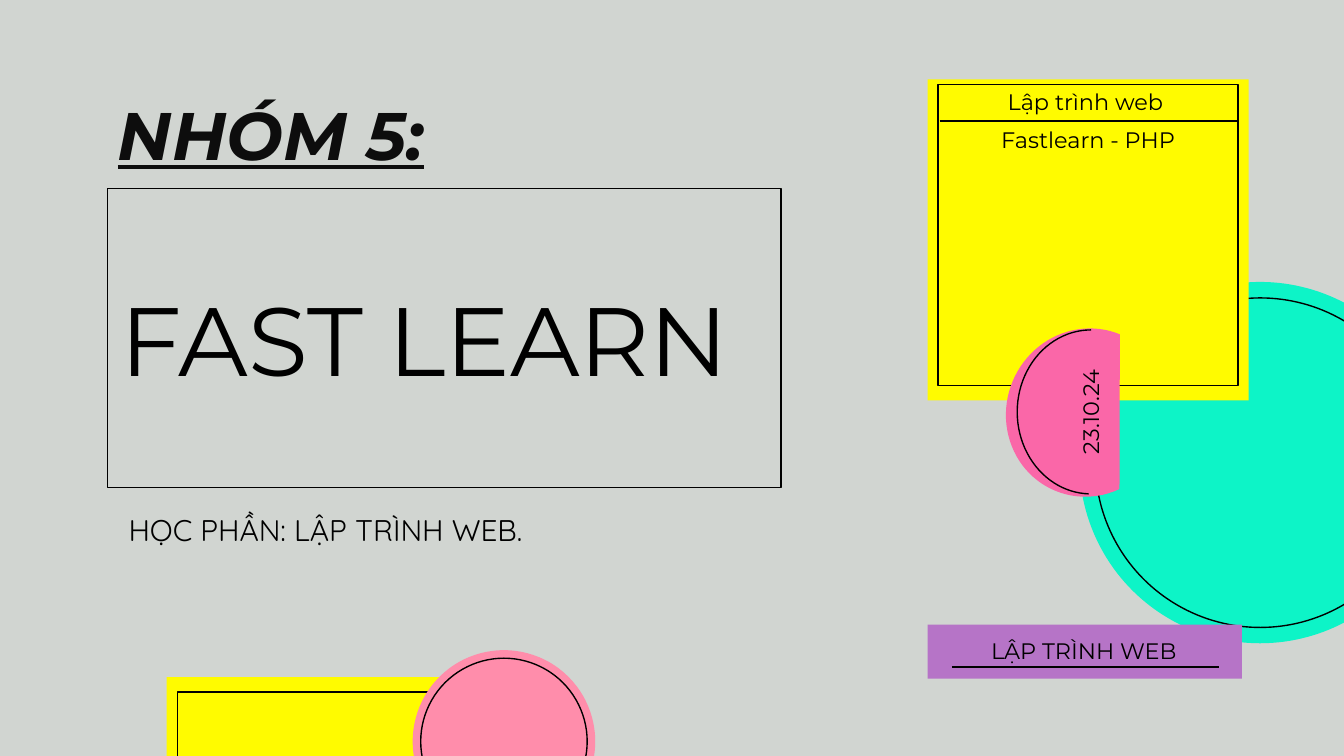
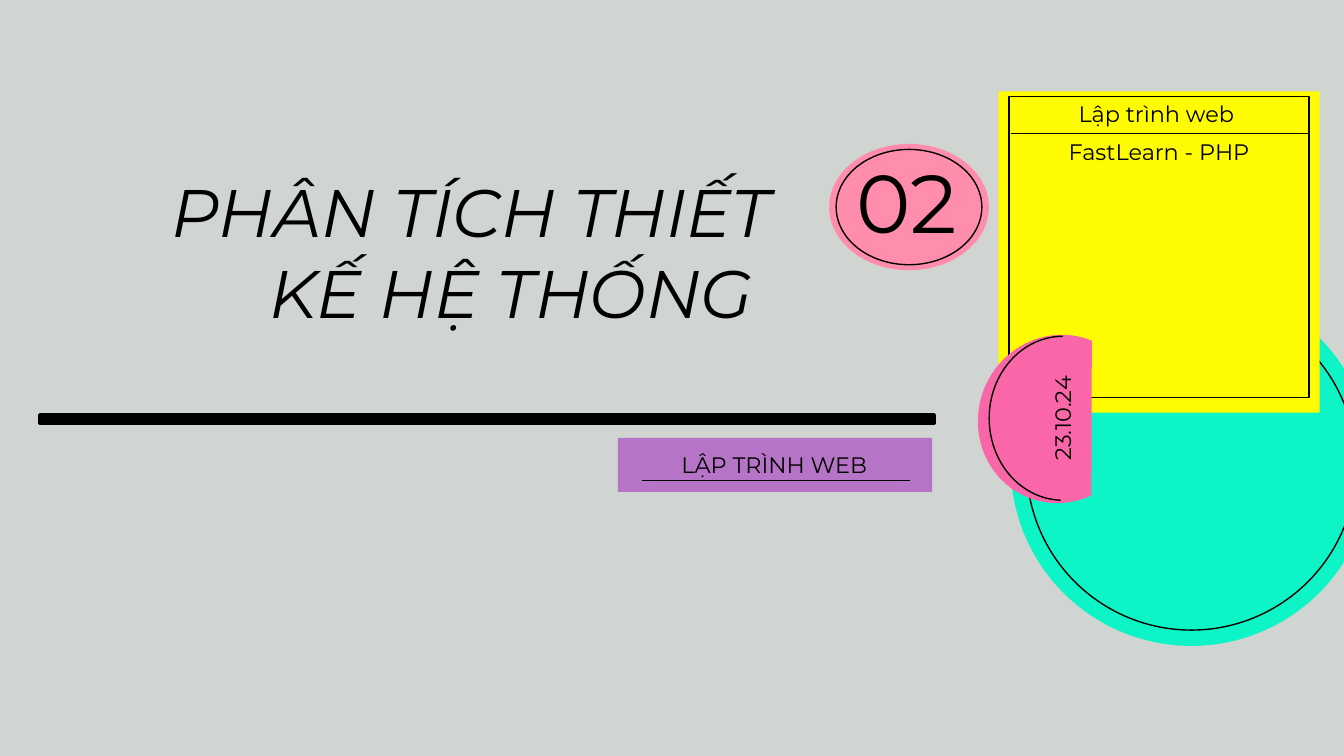
from lxml import etree
from pptx import Presentation
from pptx.dml.color import RGBColor
from pptx.enum.shapes import MSO_CONNECTOR, MSO_SHAPE
from pptx.enum.text import MSO_ANCHOR, PP_ALIGN
from pptx.oxml.ns import qn
from pptx.util import Cm, Pt

RECT, OVAL = MSO_SHAPE.RECTANGLE, MSO_SHAPE.OVAL
CHORD, ARC = MSO_SHAPE.CHORD, MSO_SHAPE.ARC
STRAIGHT = MSO_CONNECTOR.STRAIGHT
TOP, MIDDLE = MSO_ANCHOR.TOP, MSO_ANCHOR.MIDDLE
LEFT, CENTER, RIGHT = PP_ALIGN.LEFT, PP_ALIGN.CENTER, PP_ALIGN.RIGHT

COLORS = {
    "paper": "D1D5D1",
    "ink": "000000",
    "heading": "0D0D0D",
    "teal": "0DF4C7",
    "yellow": "FFFB00",
    "purple": "B674C7",
    "hot_pink": "FA67A8",
    "pink": "FF8DAB",
}
HEAD_FONT, BODY_FONT = "Montserrat", "Quicksand"
HAIRLINE = 0.75
CARD_SIDE = 6.07
LABEL_W, LABEL_H = 5.11, 0.69
RING_INSET = 0.044


def color(name):
    return RGBColor.from_string(COLORS[name])


def add_figure(slide, kind, x, y, w, h, fill=None, line=None, rotation=0, adjustments=()):
    figure = slide.shapes.add_shape(kind, Cm(x), Cm(y), Cm(w), Cm(h))
    figure.shadow.inherit = False
    figure.rotation = rotation
    for index, value in enumerate(adjustments):
        figure.adjustments[index] = value
    if fill:
        figure.fill.solid()
        figure.fill.fore_color.rgb = color(fill)
    else:
        figure.fill.background()
    if line:
        figure.line.color.rgb = color("ink")
        figure.line.width = Pt(line)
    else:
        figure.line.fill.background()
    return figure


def add_rule(slide, x1, x2, y):
    rule = slide.shapes.add_connector(STRAIGHT, Cm(x1), Cm(y), Cm(x2), Cm(y))
    rule.line.color.rgb = color("ink")
    rule.line.width = Pt(HAIRLINE)
    etree.SubElement(rule._element.spPr, qn("a:effectLst"))


def write(holder, text, size, align=LEFT, anchor=MIDDLE, font=HEAD_FONT, ink="ink",
          bold=False, italic=False, underline=False, inset_y=0.25):
    frame = holder.text_frame
    frame.word_wrap = True
    frame.vertical_anchor = anchor
    frame.margin_left = frame.margin_right = Cm(0.25)
    frame.margin_top = frame.margin_bottom = Cm(inset_y)
    paragraph = frame.paragraphs[0]
    paragraph.text = text
    paragraph.alignment = align
    paragraph.font.name = font
    paragraph.font.size = Pt(size)
    paragraph.font.color.rgb = color(ink)
    paragraph.font.bold = bold
    paragraph.font.italic = italic
    paragraph.font.underline = underline


def add_text(slide, x, y, w, h, text, size, rotation=0, **style):
    box = slide.shapes.add_textbox(Cm(x), Cm(y), Cm(w), Cm(h))
    box.rotation = rotation
    write(box, text, size, **style)


def add_label(slide, x, y, text, rotation=0):
    add_text(slide, x, y, LABEL_W, LABEL_H, text, 12, rotation, align=CENTER)


def ringed_disc(slide, x, y, w, h, fill, ring_fill=None):
    add_figure(slide, OVAL, x, y, w, h, fill)
    dx, dy = w * RING_INSET, h * RING_INSET
    add_figure(slide, OVAL, x + dx, y + dy, w - 2 * dx, h - 2 * dy, ring_fill, HAIRLINE)


def framed_card(slide, x, y, frame_top=0.1):
    add_figure(slide, RECT, x, y, CARD_SIDE, CARD_SIDE, "yellow")
    add_figure(slide, RECT, x + 0.2, y + frame_top, 5.67, 5.69, line=HAIRLINE)


def project_card(slide, x, y, project):
    framed_card(slide, x, y)
    add_rule(slide, x + 0.23, x + 5.89, y + 0.79)
    add_label(slide, x + 0.43, y + 0.08, "Lập trình web")
    add_label(slide, x + 0.48, y + 0.79, project)


def course_tag(slide, x, y):
    add_figure(slide, RECT, x, y, 5.94, 1.02, "purple")
    add_rule(slide, x + 0.46, x + 5.51, y + 0.8)
    add_label(slide, x + 0.4, y + 0.15, "LẬP TRÌNH WEB")


def date_badge(slide, x, y):
    add_figure(slide, CHORD, x, y, 3.07, 3.2, "hot_pink", rotation=22.4, adjustments=(27, 162))
    add_figure(slide, ARC, x + 0.05, y + 0.19, 3.1, 2.79, "hot_pink", HAIRLINE,
               rotation=270, adjustments=(109.02, 0))
    add_label(slide, x - 0.97, y + 1.24, "23.10.24", rotation=270)


def new_slide(deck):
    slide = deck.slides.add_slide(deck.slide_layouts[6])
    slide.background.fill.solid()
    slide.background.fill.fore_color.rgb = color("paper")
    return slide


def cover_slide(deck):
    slide = new_slide(deck)
    title = add_figure(slide, RECT, 2.03, 3.56, 12.73, 5.66, line=HAIRLINE)
    write(title, "FAST LEARN", 52)
    add_text(slide, 2.18, 9.45, 12.73, 1.12, "HỌC PHẦN: LẬP TRÌNH WEB.", 16, font=BODY_FONT)
    ringed_disc(slide, 20.4, 5.33, 6.83, 6.83, "teal", "teal")
    project_card(slide, 17.53, 1.5, "Fastlearn - PHP")
    course_tag(slide, 17.53, 11.81)
    date_badge(slide, 19.02, 6.2)
    framed_card(slide, 3.15, 12.8, frame_top=0.28)
    ringed_disc(slide, 7.8, 12.29, 3.45, 3.45, "pink")
    add_text(slide, 1.98, 1.63, 7.04, 1.8, "NHÓM 5:", 36, anchor=TOP, ink="heading",
             bold=True, italic=True, underline=True, inset_y=0.13)


def section_slide(deck):
    slide = new_slide(deck)
    ringed_disc(slide, 19.1, 5.38, 6.83, 6.83, "teal", "teal")
    project_card(slide, 18.87, 1.73, "FastLearn - PHP")
    course_tag(slide, 11.68, 8.28)
    date_badge(slide, 18.49, 6.32)
    ringed_disc(slide, 15.67, 2.72, 3.02, 2.39, "pink")
    add_text(slide, 0.94, 1.7, 13.87, 4.75, "PHÂN TÍCH THIẾT KẾ HỆ THỐNG ", 36,
             align=RIGHT, anchor=TOP, italic=True, inset_y=1.78)
    add_figure(slide, RECT, 0.76, 7.85, 16.89, 0.15, "ink", 2)
    add_text(slide, 15.93, 2.74, 3.23, 2.13, "02", 44, anchor=TOP, inset_y=0.13)


def main():
    deck = Presentation()
    deck.slide_width, deck.slide_height = Cm(25.4), Cm(14.29)
    cover_slide(deck)
    section_slide(deck)
    deck.save("out.pptx")


if __name__ == "__main__":
    main()
